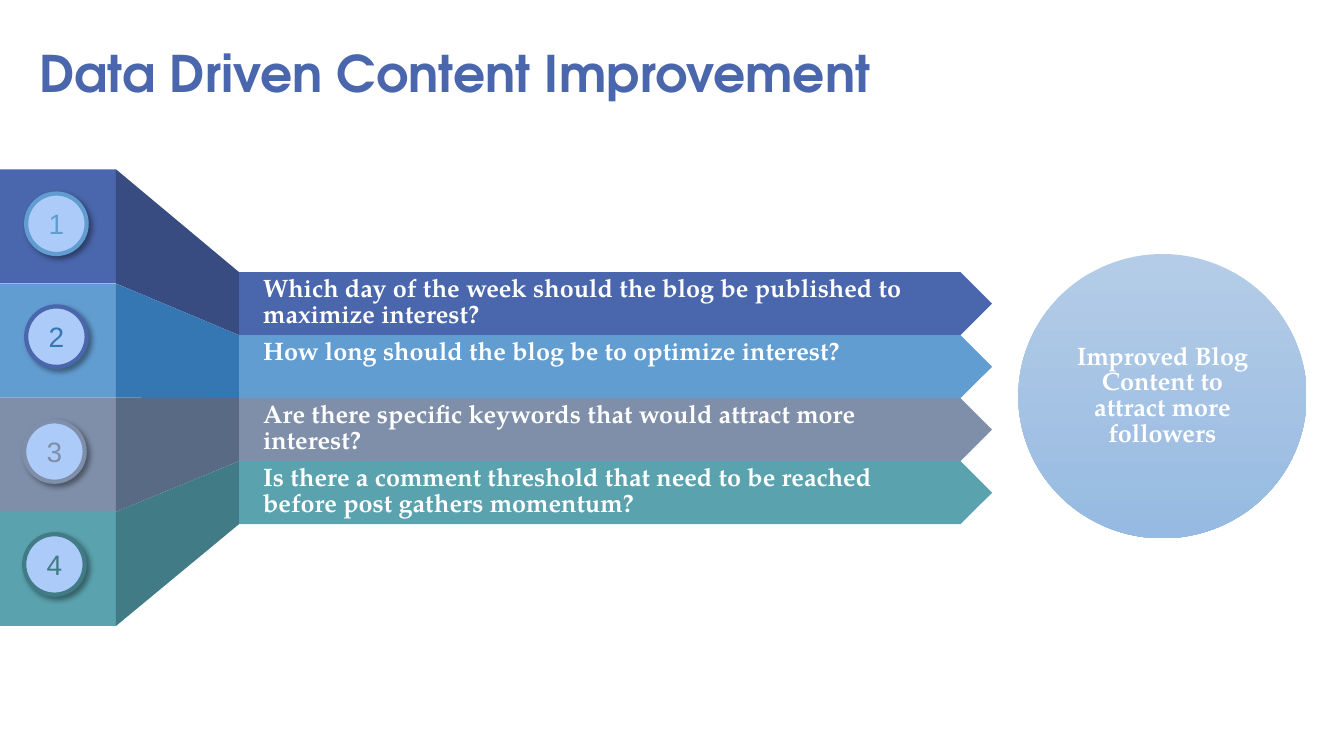
from lxml import etree
from pptx import Presentation
from pptx import util as u
from pptx.dml.color import RGBColor
from pptx.enum import shapes, text
from pptx.oxml import parse_xml
from pptx.oxml.ns import nsdecls, qn

WHITE = RGBColor(0xFF, 0xFF, 0xFF)
INDIGO = RGBColor(0x4A, 0x66, 0xAC)
DARK_INDIGO = RGBColor(0x38, 0x4C, 0x81)
BLUE = RGBColor(0x62, 0x9D, 0xD1)
DARK_BLUE = RGBColor(0x34, 0x77, 0xB2)
SLATE = RGBColor(0x7F, 0x8F, 0xA9)
DARK_SLATE = RGBColor(0x59, 0x6A, 0x85)
TEAL = RGBColor(0x5A, 0xA2, 0xAE)
DARK_TEAL = RGBColor(0x41, 0x7B, 0x85)
PALE_BLUE = RGBColor(0xAC, 0xCB, 0xF9)
GOAL_TOP = RGBColor(0xB4, 0xCC, 0xE7)
GOAL_BOTTOM = RGBColor(0x96, 0xBA, 0xE1)

HEADING_FONT = "TeX Gyre Adventor"
BODY_FONT = "TeX Gyre Pagella"
BADGE_SHADOW = (
    f'<a:effectLst {nsdecls("a")}><a:outerShdw blurRad="50800" dist="38100" dir="2700000" '
    'algn="tl" rotWithShape="0"><a:srgbClr val="000000"><a:alpha val="40000"/></a:srgbClr>'
    '</a:outerShdw></a:effectLst>'
)

TAB_TOP, TAB_WIDTH, TAB_PITCH = 1.68, 1.15, 1.1325
BAR_TOP, BAR_LEFT, BAR_WIDTH, BAR_PITCH = 2.7, 2.37, 7.47, 0.625
TEXT_LEFT = 2.61
BADGE = 0.6

QUESTIONS = [
    ("Which day of the week should the blog be published to maximize interest?",
     6.89, INDIGO, DARK_INDIGO, BLUE, BLUE, 0.26, 1.92),
    ("How long should the blog be to optimize interest?",
     6.02, BLUE, DARK_BLUE, INDIGO, DARK_BLUE, 0.26, 3.04),
    ("Are there specific keywords that would attract more interest?",
     6.34, SLATE, DARK_SLATE, SLATE, SLATE, 0.24, 4.18),
    ("Is there a comment threshold that need to be reached before post gathers momentum?",
     6.57, TEAL, DARK_TEAL, DARK_TEAL, DARK_TEAL, 0.24, 5.3),
]


def add_plain(kind, left, top, width, height, color):
    shape = slide.shapes.add_shape(
        kind, u.Inches(left), u.Inches(top), u.Inches(width), u.Inches(height))
    shape.shadow.inherit = False
    shape.fill.solid()
    shape.fill.fore_color.rgb = color
    shape.line.fill.background()
    return shape


def write(shape, words, font, size, color, bold, align, spacing):
    frame = shape.text_frame
    frame.word_wrap = True
    frame.text = words
    paragraph = frame.paragraphs[0]
    paragraph.alignment = align
    paragraph.line_spacing = spacing
    run = paragraph.runs[0]
    run.font.name = font
    run.font.size = u.Pt(size)
    run.font.bold = bold
    run.font.color.rgb = color
    return frame


presentation = Presentation()
presentation.slide_width = u.Inches(13.33)
presentation.slide_height = u.Inches(7.5)
slide = presentation.slides.add_slide(presentation.slide_layouts[5])

title = slide.shapes.title
title.left, title.top = u.Inches(0.29), u.Inches(-0.11)
title.width, title.height = u.Inches(9.5), u.Inches(1.17)
frame = write(title, "Data Driven Content Improvement", HEADING_FONT, 36, INDIGO, True,
              text.PP_ALIGN.LEFT, 0.8)
frame.auto_size = text.MSO_AUTO_SIZE.NONE
frame.vertical_anchor = text.MSO_ANCHOR.BOTTOM

for row, (question, width, color, dark, ring, digit, badge_left, badge_top) in enumerate(QUESTIONS):
    tab_top = TAB_TOP + row * TAB_PITCH
    bar_top = BAR_TOP + row * BAR_PITCH

    add_plain(shapes.MSO_SHAPE.RECTANGLE, 0, tab_top, TAB_WIDTH, TAB_PITCH, color)
    add_plain(shapes.MSO_SHAPE.PENTAGON, BAR_LEFT, bar_top, BAR_WIDTH, BAR_PITCH, color)

    builder = slide.shapes.build_freeform(u.Inches(TAB_WIDTH), u.Inches(tab_top))
    builder.add_line_segments([
        (u.Inches(BAR_LEFT), u.Inches(bar_top)),
        (u.Inches(BAR_LEFT), u.Inches(bar_top + BAR_PITCH)),
        (u.Inches(TAB_WIDTH), u.Inches(tab_top + TAB_PITCH)),
    ])
    fold = builder.convert_to_shape()
    fold.shadow.inherit = False
    fold.fill.solid()
    fold.fill.fore_color.rgb = dark
    fold.line.fill.background()

    label = slide.shapes.add_textbox(
        u.Inches(TEXT_LEFT), u.Inches(bar_top), u.Inches(width), u.Inches(BAR_PITCH))
    frame = write(label, question, BODY_FONT, 18, WHITE, True, text.PP_ALIGN.LEFT, 0.85)
    frame.margin_left = frame.margin_right = 0

    badge = add_plain(shapes.MSO_SHAPE.OVAL, badge_left, badge_top, BADGE, BADGE, PALE_BLUE)
    badge.line.color.rgb = ring
    badge.line.width = u.Pt(3)
    properties = badge.element.spPr
    properties.replace(properties.find(qn("a:effectLst")), parse_xml(BADGE_SHADOW))
    frame = write(badge, str(row + 1), "Arial", 20, digit, False, text.PP_ALIGN.CENTER, 1.0)
    frame.vertical_anchor = text.MSO_ANCHOR.MIDDLE

goal = add_plain(shapes.MSO_SHAPE.FLOWCHART_CONNECTOR, 10.1, 2.52, 2.86, 2.82, GOAL_TOP)
goal.fill.gradient()
goal.fill.gradient_angle = 270
for stop, color in zip(goal.fill.gradient_stops, (GOAL_TOP, GOAL_BOTTOM)):
    stop.color.rgb = color
frame = write(goal, "Improved Blog Content to attract more followers", BODY_FONT, 18, WHITE, True,
              text.PP_ALIGN.CENTER, 0.85)
frame.vertical_anchor = text.MSO_ANCHOR.MIDDLE

presentation.save("out.pptx")
